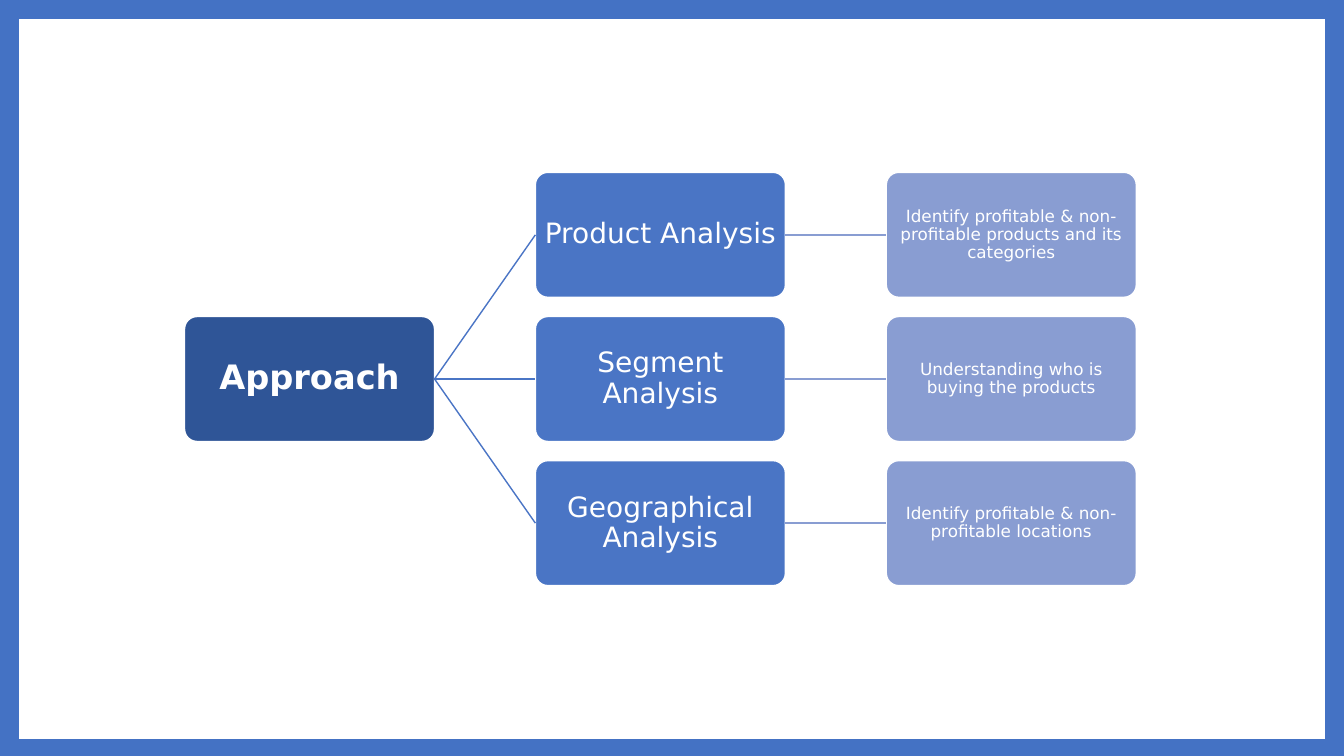
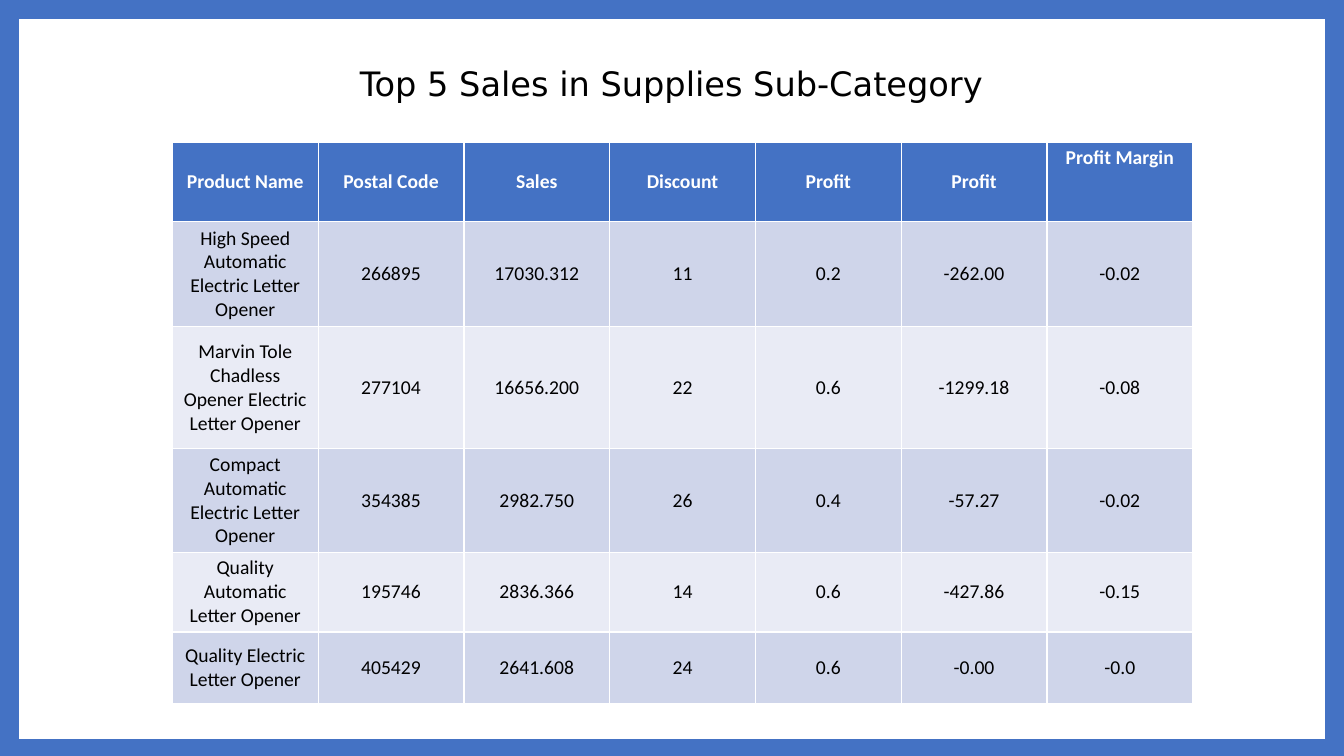
"""Build the analysis approach and top supplies sales slides."""
from pptx import Presentation
from pptx.dml.color import RGBColor
from pptx.enum import shapes, text
from pptx.oxml import xmlchemy as x
from pptx.util import Inches, Pt

BLUE = RGBColor(0x44, 0x72, 0xC4)
NAVY = RGBColor(0x2F, 0x55, 0x97)
MID = RGBColor(0x4A, 0x75, 0xC5)
PALE = RGBColor(0x89, 0x9D, 0xD2)
WHITE = RGBColor(0xFF, 0xFF, 0xFF)
BLACK = RGBColor(0x00, 0x00, 0x00)
BANDS = [RGBColor(0xCF, 0xD5, 0xEA), RGBColor(0xE9, 0xEB, 0xF5)]
SANS = "DejaVu Sans"


def style(frame, face, size, color, bold=False):
    """Centre the text of a frame and set its font."""
    for para in frame.paragraphs:
        para.alignment = text.PP_ALIGN.CENTER
        for run in para.runs:
            run.font.name = face
            run.font.size = Pt(size)
            run.font.bold = bold
            run.font.color.rgb = color


def add_box(slide, col, row, label, fill, size, bold=False):
    """Add one rounded box of the tree."""
    box = slide.shapes.add_shape(
        shapes.MSO_SHAPE.ROUNDED_RECTANGLE,
        Inches(1.83 + 3.48 * col), Inches(1.71 + 1.43 * row),
        Inches(2.48), Inches(1.24))
    box.adjustments[0] = 0.1
    box.shadow.inherit = False
    box.fill.solid()
    box.fill.fore_color.rgb = fill
    box.line.color.rgb = WHITE
    box.line.width = Pt(1)
    frame = box.text_frame
    frame.text = label
    frame.word_wrap = True
    frame.vertical_anchor = text.MSO_ANCHOR.MIDDLE
    frame.margin_left = frame.margin_right = Inches(0.05)
    frame.margin_top = frame.margin_bottom = Inches(0.05)
    frame.paragraphs[0].line_spacing = 0.9
    style(frame, SANS, size, WHITE, bold)
    return box


prs = Presentation()
prs.slide_width = Inches(13.33)
prs.slide_height = Inches(7.5)
back = prs.slide_master.background.fill
back.solid()
back.fore_color.rgb = BLUE

slides = [prs.slides.add_slide(prs.slide_layouts[6]) for _ in range(2)]
for slide in slides:
    panel = slide.shapes.add_shape(
        shapes.MSO_SHAPE.RECTANGLE,
        Inches(0.19), Inches(0.19), Inches(12.95), Inches(7.14))
    panel.shadow.inherit = False
    panel.fill.solid()
    panel.fill.fore_color.rgb = WHITE
    panel.line.fill.background()
tree, sales = slides

STEPS = [
    ("Product Analysis",
     "Identify profitable & non-profitable products and its categories"),
    ("Segment Analysis", "Understanding who is buying the products"),
    ("Geographical Analysis", "Identify profitable & non-profitable locations"),
]
root = add_box(tree, 0, 1, "Approach", NAVY, 24, True)
for row, (name, goal) in enumerate(STEPS):
    step = add_box(tree, 1, row, name, MID, 20)
    leaf = add_box(tree, 2, row, goal, PALE, 12)
    for start, end, color in [(root, step, MID), (step, leaf, PALE)]:
        link = tree.shapes.add_connector(
            shapes.MSO_CONNECTOR.STRAIGHT, 0, 0, 0, 0)
        link.begin_connect(start, 3)
        link.end_connect(end, 1)
        link.line.color.rgb = color
        link.line.width = Pt(1)
        effects = x.OxmlElement("a:effectLst")
        link._element.spPr.append(effects)

ROWS = [
    ("Product Name", "Postal Code", "Sales", "Discount", "Profit", "Profit",
     "Profit Margin"),
    ("High Speed Automatic Electric Letter Opener", "266895", "17030.312",
     "11", "0.2", "-262.00", "-0.02"),
    ("Marvin Tole Chadless Opener Electric Letter Opener", "277104",
     "16656.200", "22", "0.6", "-1299.18", "-0.08"),
    ("Compact Automatic Electric Letter Opener", "354385", "2982.750",
     "26", "0.4", "-57.27", "-0.02"),
    ("Quality Automatic Letter Opener", "195746", "2836.366",
     "14", "0.6", "-427.86", "-0.15"),
    ("Quality Electric Letter Opener", "405429", "2641.608",
     "24", "0.6", "-0.00", "-0.0"),
]
HEIGHTS = [0.79, 1.04, 1.21, 1.03, 0.79, 0.71]
grid = sales.shapes.add_table(
    len(ROWS), len(ROWS[0]), Inches(1.71), Inches(1.41),
    Inches(10.12), Inches(sum(HEIGHTS))).table
for row, (values, height) in enumerate(zip(ROWS, HEIGHTS)):
    grid.rows[row].height = Inches(height)
    head = row == 0
    for col, value in enumerate(values):
        cell = grid.cell(row, col)
        cell.text_frame.text = value
        cell.margin_left = cell.margin_right = Inches(0.08)
        cell.margin_top = cell.margin_bottom = Inches(0.04)
        cell.vertical_anchor = text.MSO_ANCHOR.MIDDLE
        cell.fill.solid()
        cell.fill.fore_color.rgb = BLUE if head else BANDS[(row - 1) % 2]
        style(cell.text_frame, "Calibri", 14, WHITE if head else BLACK, head)
grid.cell(0, len(ROWS[0]) - 1).vertical_anchor = text.MSO_ANCHOR.TOP

title = sales.shapes.add_textbox(
    Inches(3.17), Inches(0.58), Inches(6.98), Inches(0.5)).text_frame
title.word_wrap = True
title.text = "Top 5 Sales in Supplies Sub-Category"
style(title, SANS, 24, BLACK)

prs.save("out.pptx")
